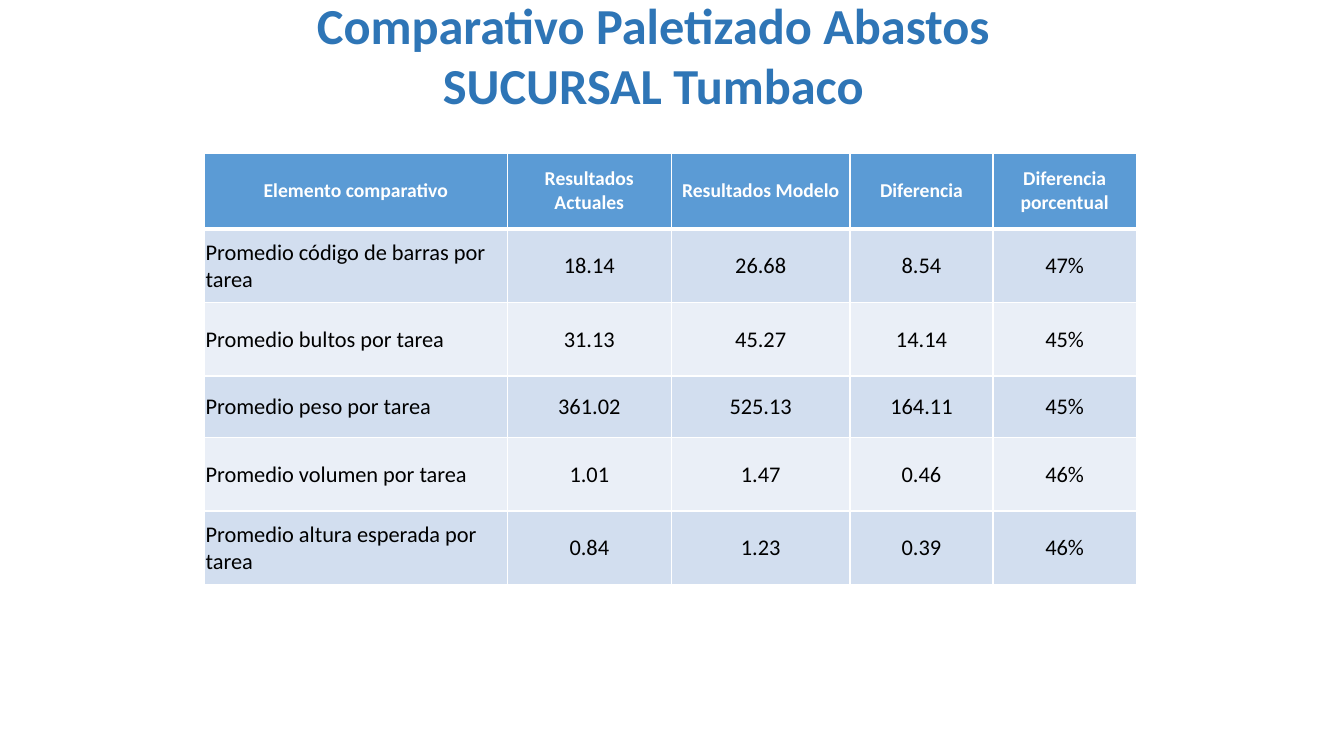
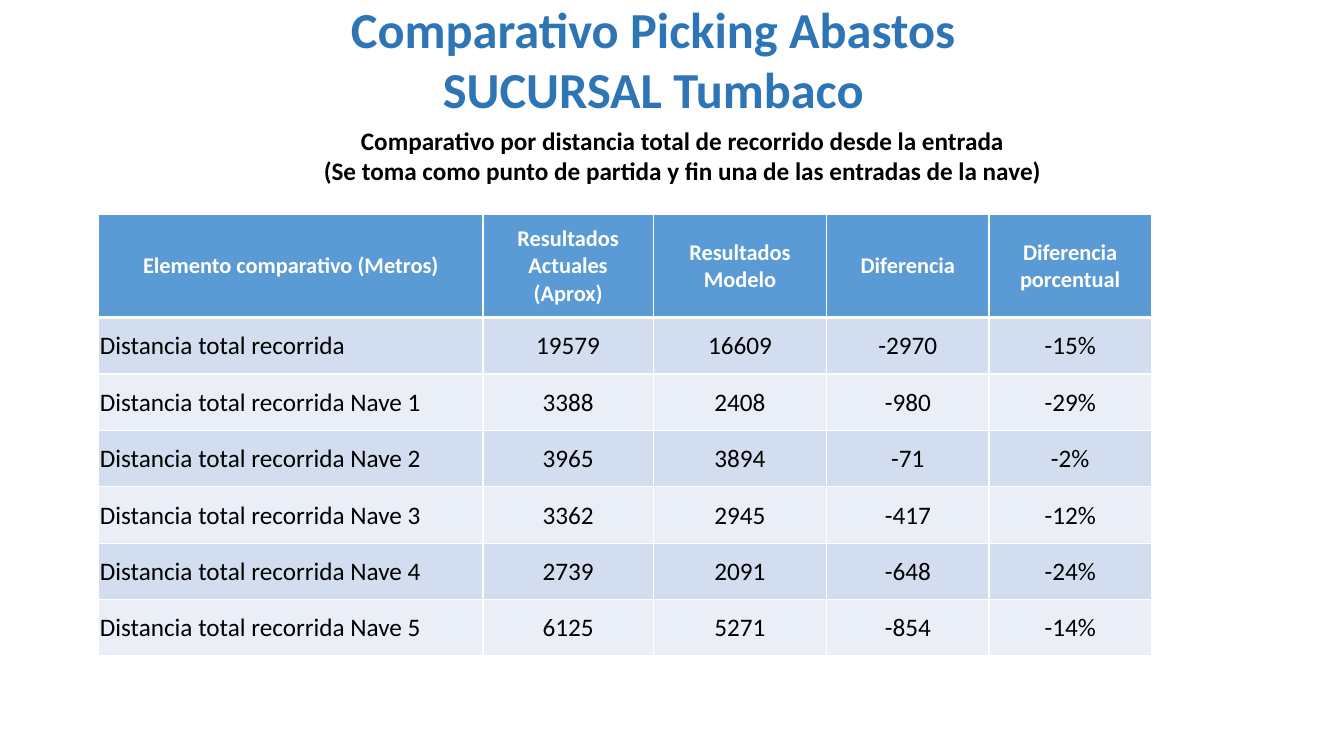
"""Build two slides that compare warehouse results in tables."""
from dataclasses import dataclass

from lxml import etree
from pptx import Presentation
from pptx import util as u
from pptx.dml.color import RGBColor
from pptx.enum import text as t
from pptx.oxml.ns import qn

FONT = "Calibri"
BLUE, HEAD, WHITE, BLACK = "2E75B6", "5B9BD5", "FFFFFF", "000000"
BANDS = ("D2DEEF", "EAEFF7")
PLACE = "SUCURSAL Tumbaco"


@dataclass(frozen=True)
class Grid:
    left: float
    top: float
    cols: tuple[float, ...]
    rows: tuple[float, ...]
    size: int
    cells: tuple[tuple[str, ...], ...]


@dataclass(frozen=True)
class Page:
    title: str
    top: float
    grid: Grid
    notes: tuple[str, ...] = ()


PAGES = (
    Page("Comparativo Paletizado Abastos", 0.34, Grid(
        2.03, 1.52, (3, 1.63, 1.77, 1.42, 1.42),
        (0.75, 0.73, 0.73, 0.61, 0.73, 0.73), 14, (
            ("Elemento comparativo", "Resultados Actuales",
             "Resultados Modelo", "Diferencia", "Diferencia porcentual"),
            ("Promedio código de barras por tarea", "18.14", "26.68", "8.54", "47%"),
            ("Promedio bultos por tarea", "31.13", "45.27", "14.14", "45%"),
            ("Promedio peso por tarea", "361.02", "525.13", "164.11", "45%"),
            ("Promedio volumen por tarea", "1.01", "1.47", "0.46", "46%"),
            ("Promedio altura esperada por tarea", "0.84", "1.23", "0.39", "46%"),
        ))),
    Page("Comparativo Picking Abastos", 0.38, Grid(
        0.98, 2.13, (3.81, 1.69, 1.72, 1.61, 1.61),
        (1.02,) + (0.56,) * 6, 16, (
            ("Elemento comparativo (Metros)", "Resultados Actuales (Aprox)",
             "Resultados Modelo", "Diferencia", "Diferencia porcentual"),
            ("Distancia total recorrida", "19579", "16609", "-2970", "-15%"),
            ("Distancia total recorrida Nave 1", "3388", "2408", "-980", "-29%"),
            ("Distancia total recorrida Nave 2", "3965", "3894", "-71", "-2%"),
            ("Distancia total recorrida Nave 3", "3362", "2945", "-417", "-12%"),
            ("Distancia total recorrida Nave 4", "2739", "2091", "-648", "-24%"),
            ("Distancia total recorrida Nave 5", "6125", "5271", "-854", "-14%"),
        )), (
        "Comparativo por distancia total de recorrido desde la entrada",
        "(Se toma como punto de partida y fin una de las entradas de la nave)")),
)


def shade(color) -> RGBColor:
    return RGBColor.from_string(color)


def write(frame, *lines: str, size: int, color: str, bold: bool = False,
          align=t.PP_ALIGN.CENTER) -> None:
    for i, line in enumerate(lines):
        para = frame.add_paragraph() if i else frame.paragraphs[0]
        para.alignment = align
        run = para.add_run()
        run.text = line
        font = run.font
        font.name, font.size, font.bold = FONT, u.Pt(size), bold
        font.color.rgb = shade(color)


def label(slide, left: float, top: float, width: float, *lines: str, **style) -> None:
    box = slide.shapes.add_textbox(
        u.Inches(left), u.Inches(top), u.Inches(width), u.Inches(0.4))
    frame = box.text_frame
    frame.word_wrap = True
    frame.vertical_anchor = t.MSO_ANCHOR.MIDDLE
    frame.margin_left = frame.margin_right = u.Inches(0.13)
    frame.margin_top = frame.margin_bottom = u.Inches(0.06)
    write(frame, *lines, bold=True, **style)


def edge(cell, **widths: int) -> None:
    props = cell._tc.get_or_add_tcPr()
    for side in "LRTB":
        line = etree.SubElement(props, qn(f"a:ln{side}"),
                                w=str(u.Pt(widths.get(side, 1))))
        fill = etree.SubElement(line, qn("a:solidFill"))
        etree.SubElement(fill, qn("a:srgbClr"), val=WHITE)


def paint(cell, color: str) -> None:
    cell.fill.solid()
    cell.fill.fore_color.rgb = shade(color)


def body(cell, value: str, row: int, col: int, size: int) -> None:
    cell.margin_left = cell.margin_right = cell.margin_top = u.Inches(0.01)
    cell.margin_bottom = 0
    edge(cell, T=3 if row == 1 else 1)
    paint(cell, BANDS[(row - 1) % 2])
    write(cell.text_frame, value, size=size, color=BLACK,
          align=t.PP_ALIGN.CENTER if col else t.PP_ALIGN.LEFT)


def head(cell, value: str, size: int) -> None:
    edge(cell, B=3)
    paint(cell, HEAD)
    write(cell.text_frame, value, size=size, color=WHITE, bold=True)


def chart(slide, grid: Grid) -> None:
    table = slide.shapes.add_table(
        len(grid.rows), len(grid.cols), u.Inches(grid.left), u.Inches(grid.top),
        u.Inches(sum(grid.cols)), u.Inches(sum(grid.rows))).table
    table.first_row = table.horz_banding = False
    for col, width in zip(table.columns, grid.cols):
        col.width = u.Inches(width)
    for row, height in zip(table.rows, grid.rows):
        row.height = u.Inches(height)
    for r, values in enumerate(grid.cells):
        for c, value in enumerate(values):
            cell = table.cell(r, c)
            cell.vertical_anchor = t.MSO_ANCHOR.MIDDLE
            if r:
                body(cell, value, r, c, grid.size + 2)
            else:
                head(cell, value, grid.size)


def main() -> None:
    deck = Presentation()
    deck.slide_width, deck.slide_height = u.Inches(13.33), u.Inches(7.5)
    for page in PAGES:
        slide = deck.slides.add_slide(deck.slide_layouts[6])
        label(slide, 2.14, page.top, 8.68, page.title, PLACE, size=36, color=BLUE)
        chart(slide, page.grid)
        if page.notes:
            label(slide, 1.94, 1.34, 9.66, *page.notes, size=18, color=BLACK)
    deck.save("out.pptx")


if __name__ == "__main__":
    main()
